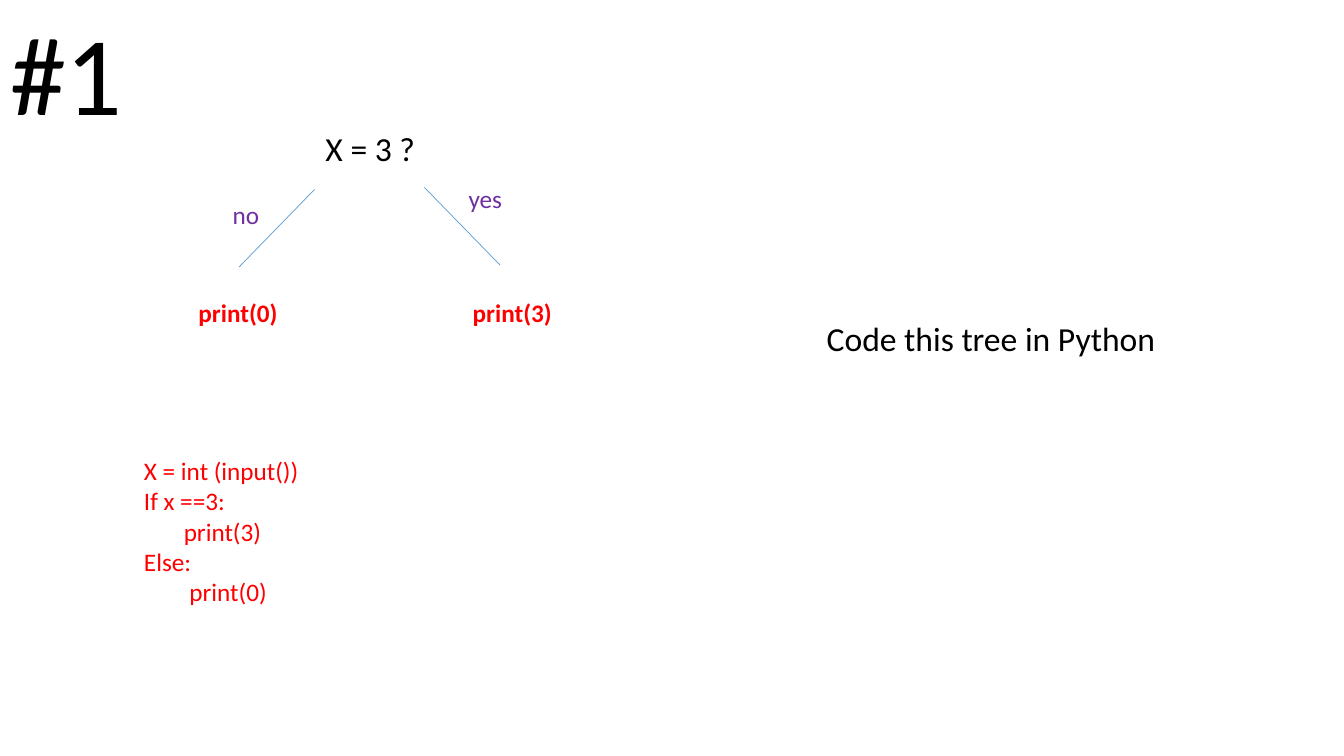
from lxml import etree
from pptx import Presentation
from pptx import util as u
from pptx.dml.color import RGBColor
from pptx.enum import shapes, text
from pptx.oxml.ns import qn

PX = u.Inches(1) // 100
FONT = "Calibri"
COLORS = {"ink": "000000", "branch": "5B9BD5", "answer": "7030A0", "code": "FF0000"}


def color(name):
    """Return the palette colour with the given name."""
    return RGBColor.from_string(COLORS[name])


def place(shape, left, top, width, height):
    """Move and size a shape in px."""
    shape.left, shape.top = left * PX, top * PX
    shape.width, shape.height = width * PX, height * PX


def write(shape, words, size, ink, bold=False, wrap=False):
    """Fill a shape with left-aligned text in one style."""
    frame = shape.text_frame
    frame.text = words
    frame.word_wrap = wrap
    frame.auto_size = text.MSO_AUTO_SIZE.SHAPE_TO_FIT_TEXT
    frame.vertical_anchor = text.MSO_ANCHOR.TOP
    for para in frame.paragraphs:
        para.alignment = text.PP_ALIGN.LEFT
        for span in para.runs:
            span.font.name = FONT
            span.font.size = u.Pt(size)
            span.font.bold = bold
            span.font.color.rgb = color(ink)


def add_label(page, box, words, size, ink, bold=False, wrap=False):
    """Add a text box at the given box."""
    label = page.shapes.add_textbox(0, 0, 0, 0)
    place(label, *box)
    write(label, words, size, ink, bold, wrap)


def add_branch(page, left, top, run, drop):
    """Draw one thin branch of the tree."""
    branch = page.shapes.add_connector(
        shapes.MSO_CONNECTOR.STRAIGHT,
        left * PX, top * PX, (left + run) * PX, (top + drop) * PX)
    branch.line.color.rgb = color("branch")
    branch.line.width = u.Pt(0.5)
    etree.SubElement(branch._element.spPr, qn("a:effectLst"))


def add_heading(page, box):
    """Set the exercise number in the title placeholder."""
    place(page.shapes.title, *box)
    write(page.shapes.title, "#1", 80, "ink")


def add_tree(page, left, top):
    """Draw the decision tree from its top-left corner."""
    add_branch(page, left + 125, top + 66, -75, 77)
    add_branch(page, left + 234, top + 64, 75, 77)
    add_label(page, (left + 126, top, 110, 50), "X = 3 ?", 24, "ink")
    add_label(page, (left + 34, top + 71, 47, 40), "no", 18, "answer")
    add_label(page, (left + 268, top + 55, 54, 40), "yes", 18, "answer")
    for offset, words in ((0, "print(0)"), (272, "print(3)")):
        add_label(page, (left + offset, top + 168, 99, 40), words, 18, "code", bold=True)


def add_task(page, box):
    """State the task beside the tree."""
    add_label(page, box, "Code this tree in Python", 24, "ink")


def add_code(page, box):
    """Show the code that answers the task."""
    lines = ["X = int (input())", "If x ==3:", "       print(3)",
             "Else:", "        print(0)"]
    add_label(page, box, "\n".join(lines), 18, "code", wrap=True)


def main():
    """Build and save the slide."""
    deck = Presentation()
    deck.slide_width, deck.slide_height = 1333 * PX, 750 * PX
    page = deck.slides.add_slide(deck.slide_layouts.get_by_name("Title Only"))
    add_heading(page, (0, -2, 133, 145))
    add_tree(page, 187, 122)
    add_task(page, (810, 310, 349, 50))
    add_code(page, (133, 447, 396, 162))
    deck.save("out.pptx")


if __name__ == "__main__":
    main()
